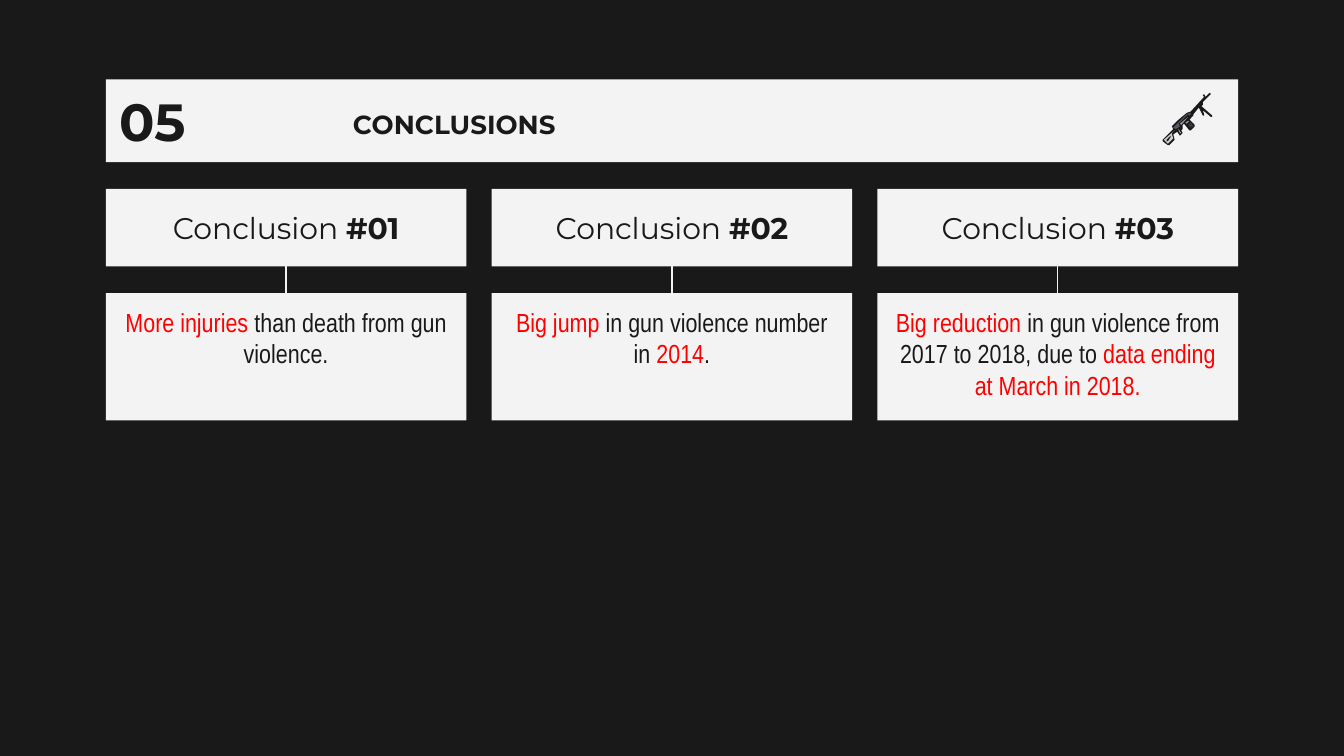
from dataclasses import dataclass

from lxml.etree import SubElement
from pptx import Presentation
from pptx.dml.color import RGBColor
from pptx.enum.shapes import MSO_CONNECTOR as Connector, MSO_SHAPE as Preset
from pptx.enum.text import MSO_ANCHOR as Anchor, PP_ALIGN as Align
from pptx.oxml.ns import qn
from pptx.shapes.autoshape import Shape
from pptx.slide import Slide
from pptx.util import Pt

COLORS = {
    "ink": "191919",
    "panel": "F3F3F3",
    "accent": "FF0000",
    "receiver": "595A63",
    "guard": "999999",
    "magazine": "37383F",
    "stock": "CCCCCC",
}
HEADING_FONT = "Montserrat"
BODY_FONT = "Arial Narrow"
MARGIN, CARD_WIDTH, CARD_GAP = 56.7, 193.2, 13.5
HEAD_TOP, HEAD_HEIGHT = 101.2, 41.5
BODY_TOP, BODY_HEIGHT = 157, 68.2
ICON_LEFT, ICON_TOP, ICON_UNIT = 622.8, 49.7, 0.72


@dataclass(frozen=True)
class Span:
    text: str
    size: float
    font: str
    color: str = "ink"
    bold: bool = False


@dataclass(frozen=True)
class Conclusion:
    number: str
    phrases: tuple[tuple[str, str], ...]


@dataclass(frozen=True)
class IconPart:
    color: str
    points: tuple[tuple[int, int], ...]


CONCLUSIONS = (
    Conclusion("#01", (("More injuries ", "accent"),
                       ("than death from gun violence.", "ink"))),
    Conclusion("#02", (("Big jump ", "accent"), ("in gun violence number in ", "ink"),
                       ("2014", "accent"), (".", "ink"))),
    Conclusion("#03", (("Big reduction ", "accent"),
                       ("in gun violence from 2017 to 2018, due to ", "ink"),
                       ("data ending at March in 2018.", "accent"))),
)

RIFLE = (
    IconPart("ink", (
        (35, 0), (32, 3), (31, 1), (30, 2), (31, 3), (21, 14), (18, 15), (12, 20),
        (11, 21), (7, 25), (8, 27), (0, 35), (0, 36), (4, 39), (5, 39), (9, 35),
        (8, 31), (11, 29), (13, 32), (15, 30), (14, 28), (15, 27), (15, 24), (16, 23),
        (20, 28), (21, 28), (24, 25), (24, 24), (20, 20), (23, 17), (23, 16), (27, 11),
        (30, 17), (31, 17), (31, 16), (30, 13), (36, 18), (37, 18), (37, 17), (29, 10),
        (30, 9), (30, 7), (36, 1))),
    IconPart("receiver", ((21, 15), (21, 16), (20, 17), (19, 16), (12, 23), (13, 25),
                          (10, 27), (8, 26), (18, 16))),
    IconPart("guard", ((19, 18), (14, 24), (13, 23))),
    IconPart("guard", ((19, 21), (20, 21), (18, 23), (17, 22))),
    IconPart("magazine", ((21, 22), (23, 25), (21, 26), (19, 24))),
    IconPart("stock", ((12, 27), (13, 29), (14, 30), (13, 30), (12, 28))),
    IconPart("stock", ((9, 28), (7, 30), (7, 31), (8, 34), (4, 38), (1, 35))),
    IconPart("ink", ((6, 32), (3, 35), (3, 36), (4, 36), (6, 33))),
)


def rgb(color: str) -> RGBColor:
    return RGBColor.from_string(COLORS[color])


def paint(shape: Shape, color: str) -> None:
    shape.shadow.inherit = False
    shape.fill.solid()
    shape.fill.fore_color.rgb = rgb(color)
    shape.line.fill.background()


def write(shape: Shape, spans: list[Span], align: Align) -> None:
    shape.text_frame.word_wrap = True
    paragraph = shape.text_frame.paragraphs[0]
    paragraph.alignment = align
    for span in spans:
        run = paragraph.add_run()
        run.text = span.text
        run.font.size = Pt(span.size)
        run.font.name = span.font
        run.font.bold = span.bold
        run.font.color.rgb = rgb(span.color)


def add_panel(slide: Slide, left: float, top: float, width: float, height: float,
              spans: list[Span], align: Align = Align.CENTER,
              anchor: Anchor = Anchor.MIDDLE) -> Shape:
    panel = slide.shapes.add_shape(
        Preset.RECTANGLE, Pt(left), Pt(top), Pt(width), Pt(height))
    paint(panel, "panel")
    frame = panel.text_frame
    frame.margin_left = frame.margin_right = Pt(7.2)
    frame.margin_top = frame.margin_bottom = Pt(7.2)
    frame.vertical_anchor = anchor
    write(panel, spans, align)
    return panel


def add_link(slide: Slide, upper: Shape, lower: Shape) -> None:
    link = slide.shapes.add_connector(Connector.STRAIGHT, 0, 0, 0, 0)
    link.begin_connect(upper, 2)
    link.end_connect(lower, 0)
    link.line.color.rgb = rgb("panel")
    link.line.width = Pt(0.75)
    SubElement(link._element.spPr, qn("a:effectLst"))


def add_conclusion(slide: Slide, left: float, conclusion: Conclusion) -> None:
    head = add_panel(slide, left, HEAD_TOP, CARD_WIDTH, HEAD_HEIGHT, [
        Span("Conclusion ", 16, HEADING_FONT),
        Span(conclusion.number, 16, HEADING_FONT, bold=True)])
    body = add_panel(slide, left, BODY_TOP, CARD_WIDTH, BODY_HEIGHT, [
        Span(text, 14, BODY_FONT, color) for text, color in conclusion.phrases],
        anchor=Anchor.TOP)
    add_link(slide, head, body)


def add_icon_part(slide: Slide, part: IconPart) -> None:
    start, *rest = part.points
    builder = slide.shapes.build_freeform(*start, scale=Pt(ICON_UNIT))
    builder.add_line_segments(rest, close=True)
    paint(builder.convert_to_shape(Pt(ICON_LEFT), Pt(ICON_TOP)), part.color)


def main() -> None:
    deck = Presentation()
    deck.slide_width, deck.slide_height = Pt(720), Pt(405)
    slide = deck.slides.add_slide(deck.slide_layouts[6])
    slide.background.fill.solid()
    slide.background.fill.fore_color.rgb = rgb("ink")

    add_panel(slide, MARGIN, 42.5, 720 - 2 * MARGIN, 44.4,
              [Span("05", 28, HEADING_FONT, bold=True)], Align.LEFT)
    heading = slide.shapes.add_textbox(Pt(118.1), Pt(54.7), Pt(250.6), Pt(20.2))
    write(heading, [Span("CONCLUSIONS", 14, HEADING_FONT, bold=True)], Align.CENTER)

    for column, conclusion in enumerate(CONCLUSIONS):
        add_conclusion(slide, MARGIN + column * (CARD_WIDTH + CARD_GAP), conclusion)
    for part in RIFLE:
        add_icon_part(slide, part)

    deck.save("out.pptx")


if __name__ == "__main__":
    main()
